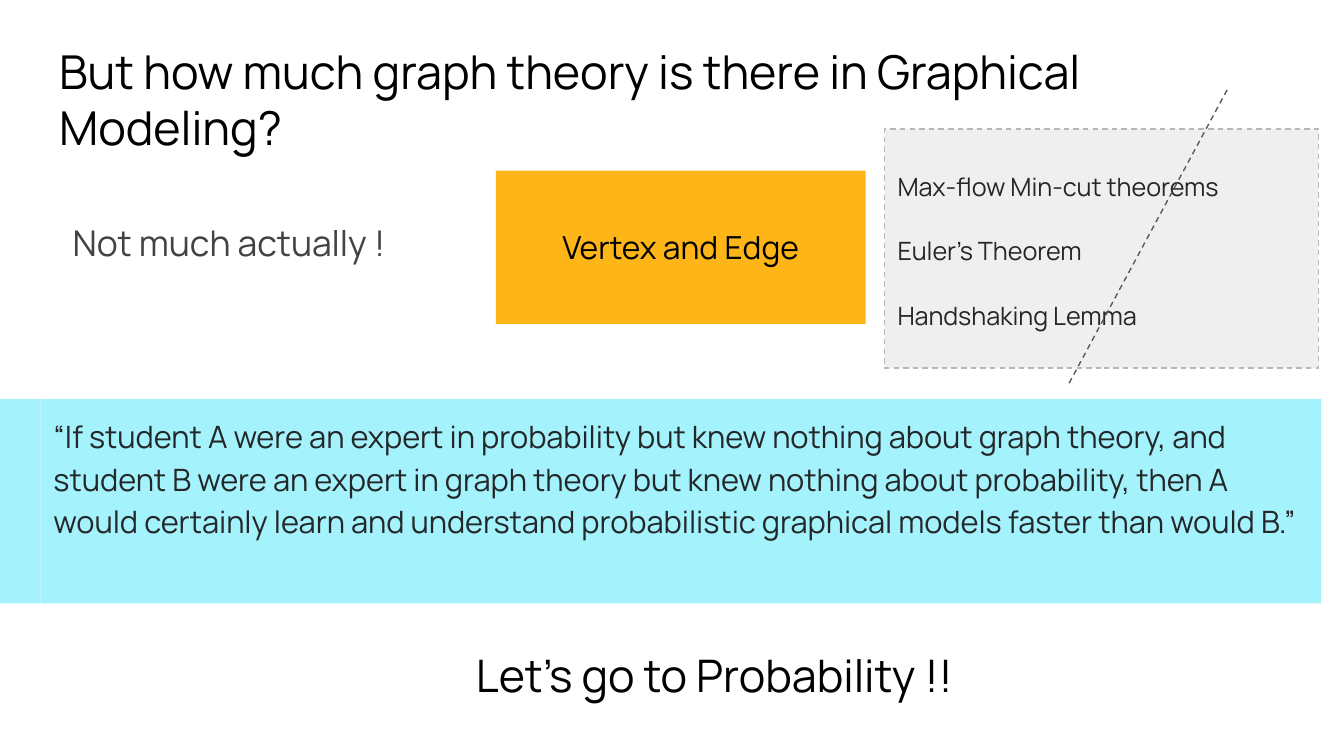
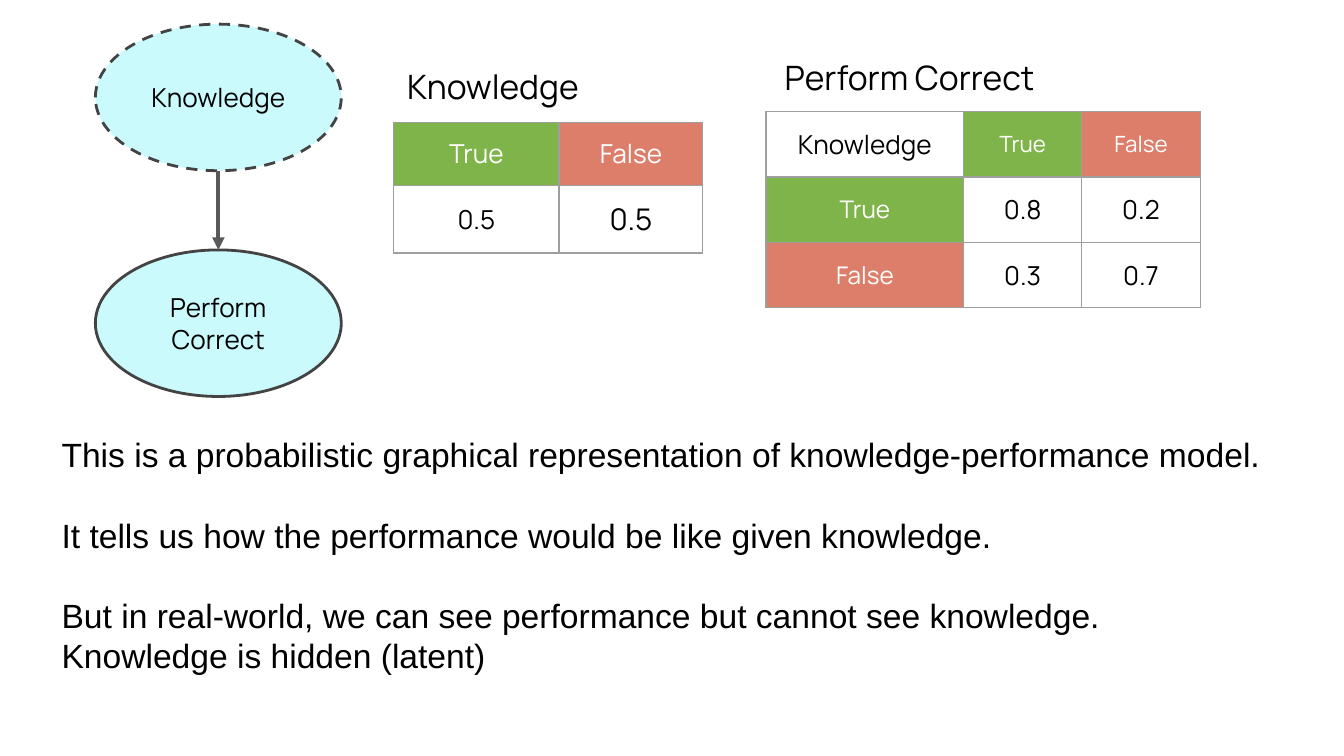
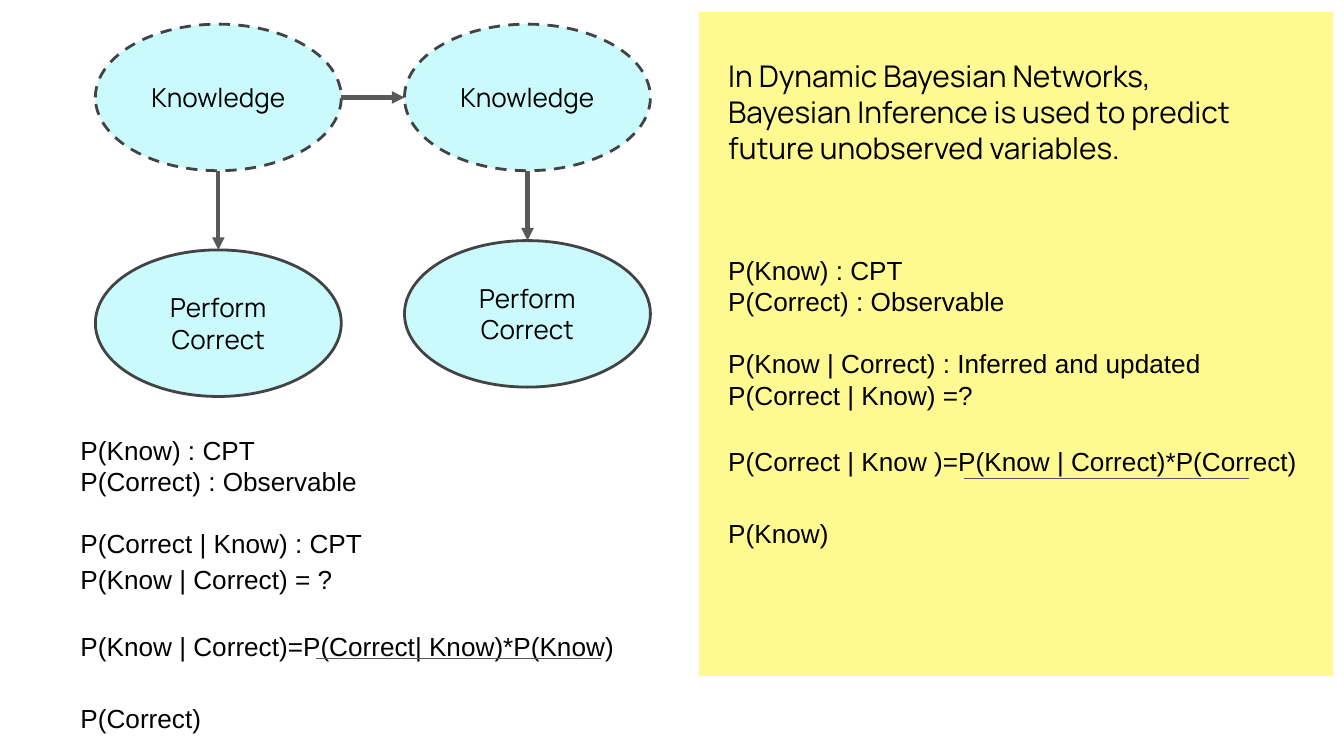
from collections import namedtuple

from lxml import etree
from pptx import Presentation
from pptx.dml.color import RGBColor
from pptx.enum.dml import MSO_LINE
from pptx.enum.shapes import MSO_CONNECTOR, MSO_SHAPE
from pptx.enum.text import MSO_ANCHOR, MSO_AUTO_SIZE, PP_ALIGN
from pptx.oxml.ns import qn
from pptx.util import Inches, Pt

RECTANGLE, ELLIPSE = MSO_SHAPE.RECTANGLE, MSO_SHAPE.OVAL
STRAIGHT = MSO_CONNECTOR.STRAIGHT
DASH = MSO_LINE.DASH
LEFT, CENTER = PP_ALIGN.LEFT, PP_ALIGN.CENTER
TOP, MIDDLE = MSO_ANCHOR.TOP, MSO_ANCHOR.MIDDLE
FIXED_SIZE = MSO_AUTO_SIZE.NONE
TITLE_AND_BODY, BLANK = 1, 6

BLACK = RGBColor(0x00, 0x00, 0x00)
WHITE = RGBColor(0xFF, 0xFF, 0xFF)
INK = RGBColor(0x24, 0x27, 0x29)
DARK_GRAY = RGBColor(0x43, 0x43, 0x43)
LINE_GRAY = RGBColor(0x59, 0x59, 0x59)
BORDER_GRAY = RGBColor(0x9E, 0x9E, 0x9E)
FRAME_GRAY = RGBColor(0xB7, 0xB7, 0xB7)
PANEL_GRAY = RGBColor(0xEF, 0xEF, 0xEF)
CYAN = RGBColor(0xA4, 0xF2, 0xFC)
NODE_CYAN = RGBColor(0xCA, 0xFA, 0xFC)
AMBER = RGBColor(0xFD, 0xB5, 0x18)
YELLOW = RGBColor(0xFF, 0xF5, 0x27)
GREEN = RGBColor(0x7F, 0xB4, 0x4A)
RED = RGBColor(0xDD, 0x7E, 0x6B)
ANSWER_FILLS = {"True": GREEN, "False": RED}

DISPLAY, PLAIN = "Manrope", "Arial"

# The slide is a grid of 100 columns by 56.25 rows of square cells.
CELL = Inches(0.1)
COLUMNS, ROWS = 100, 56.25
NODE_COLS, NODE_ROWS = 18.3, 10.9
NODE_LEFT, NODE_TOP, NODE_PITCH = 7.1, 1.8, 23
PERFORM_TOP = 18.6

Line = namedtuple("Line", "text spacing before", defaults=(1.0, 0))


def grid(*cells):
    return [round(cell * CELL) for cell in cells]


def write(frame, lines, size, color=BLACK, font=DISPLAY, align=LEFT, anchor=TOP):
    """Fill a text frame with strings or Lines in one style."""
    frame.word_wrap = True
    frame.auto_size = FIXED_SIZE
    frame.vertical_anchor = anchor
    frame.margin_left = frame.margin_right = CELL
    frame.margin_top = frame.margin_bottom = CELL
    lines = [Line(line) if isinstance(line, str) else line for line in lines]
    frame.text = "\n".join(line.text for line in lines)
    for paragraph, line in zip(frame.paragraphs, lines):
        paragraph.alignment = align
        paragraph.line_spacing = line.spacing
        paragraph.space_before = Pt(line.before)
        style_runs(paragraph, size, color, font)


def style_runs(paragraph, size, color, font=DISPLAY):
    for run in paragraph.runs:
        run.font.size = Pt(size)
        run.font.name = font
        run.font.color.rgb = color


def add_text(slide, area, lines, size, **style):
    label = slide.shapes.add_textbox(*grid(*area))
    write(label.text_frame, lines, size, **style)


def add_panel(slide, kind, area, fill, outline=None, weight=0.75, dashed=False):
    panel = slide.shapes.add_shape(kind, *grid(*area))
    panel.shadow.inherit = False
    panel.fill.solid()
    panel.fill.fore_color.rgb = fill
    if outline is None:
        panel.line.fill.background()
    else:
        panel.line.color.rgb = outline
        panel.line.width = Pt(weight)
        if dashed:
            panel.line.dash_style = DASH
    return panel


def add_line(slide, start, end, weight=0.75, dashed=False, arrow=False):
    line = slide.shapes.add_connector(STRAIGHT, *grid(*start, *end))
    line.line.color.rgb = LINE_GRAY
    line.line.width = Pt(weight)
    if dashed:
        line.line.dash_style = DASH
    if arrow:
        etree.SubElement(line.line._ln, qn("a:tailEnd"), type="triangle")
    etree.SubElement(line._element.spPr, qn("a:effectLst"))


def add_node(slide, left, top, lines, hidden=False):
    """Draw a variable of the network; hidden ones have a dashed outline."""
    node = add_panel(slide, ELLIPSE, (left, top, NODE_COLS, NODE_ROWS),
                     NODE_CYAN, DARK_GRAY, 1.5, hidden)
    write(node.text_frame, lines, 14, align=CENTER, anchor=MIDDLE)


def add_time_step(slide, step=0, perform_top=PERFORM_TOP):
    """Draw Knowledge with an arrow down to Perform Correct."""
    left = NODE_LEFT + step * NODE_PITCH
    middle = left + NODE_COLS / 2
    add_node(slide, left, NODE_TOP, ["Knowledge"], hidden=True)
    add_node(slide, left, perform_top, ["Perform", "Correct"])
    add_line(slide, (middle, NODE_TOP + NODE_ROWS), (middle, perform_top),
             2.25, arrow=True)


def add_borders(cell):
    properties = cell._tc.get_or_add_tcPr()
    for side in ("lnL", "lnR", "lnT", "lnB"):
        border = etree.SubElement(properties, qn(f"a:{side}"), w=str(Pt(0.75)))
        fill = etree.SubElement(border, qn("a:solidFill"))
        etree.SubElement(fill, qn("a:srgbClr"), val=str(BORDER_GRAY))


def add_probability_table(slide, left, top, widths, heights, values, sizes):
    """Draw a table whose True and False cells carry their own fill."""
    area = grid(left, top, sum(widths), sum(heights))
    table = slide.shapes.add_table(len(heights), len(widths), *area).table
    table.first_row = table.horz_banding = False
    for column, width in zip(table.columns, grid(*widths)):
        column.width = width
    for row, height, texts, points in zip(table.rows, grid(*heights), values, sizes):
        row.height = height
        for cell, text, size in zip(row.cells, texts, points):
            add_borders(cell)
            cell.margin_left = cell.margin_right = CELL
            cell.margin_top = cell.margin_bottom = CELL
            cell.vertical_anchor = MIDDLE
            cell.text = text
            cell.text_frame.paragraphs[0].alignment = CENTER
            if text in ANSWER_FILLS:
                cell.fill.solid()
                cell.fill.fore_color.rgb = ANSWER_FILLS[text]
                color = WHITE
            else:
                cell.fill.background()
                color = BLACK
            style_runs(cell.text_frame.paragraphs[0], size, color)


def place(placeholder, area):
    (placeholder.left, placeholder.top,
     placeholder.width, placeholder.height) = grid(*area)


def remove_bullets(frame):
    for paragraph in frame.paragraphs:
        properties = paragraph._p.get_or_add_pPr()
        properties.set("marL", "0")
        properties.set("indent", "0")
        etree.SubElement(properties, qn("a:buNone"))


def add_bayes_rule(slide, area, facts, rule, divisor, bar):
    """Write two pairs of facts, then a fraction with its bar."""
    gap, wide_gap = 16.5, 19
    first, second, third, question = facts
    add_text(slide, area, [
        first, second, Line(third, before=gap), question,
        Line(rule, 1.15, gap), Line(divisor, 1.15, wide_gap),
    ], 14, font=PLAIN)
    left, right, row = bar
    add_line(slide, (left, row), (right, row))


def build_theory_slide(deck):
    slide = deck.slides.add_slide(deck.slide_layouts[TITLE_AND_BODY])
    title, answer = slide.shapes.title, slide.placeholders[1]
    place(title, (3.4, 2.2, 93.2, 10.4))
    write(title.text_frame,
          ["But how much graph theory is there in Graphical Modeling?"], 25)
    place(answer, (4.4, 15, 33.7, 9.4))
    write(answer.text_frame, [Line("Not much actually !", 1.15)], 19, DARK_GRAY)
    remove_bullets(answer.text_frame)

    margin, band_top, band_rows = 3, 29.7, 15.2
    quote = add_panel(slide, RECTANGLE, (margin, band_top, 95.3, band_rows), CYAN)
    write(quote.text_frame, [Line(
        "“If student A were an expert in probability but knew nothing about "
        "graph theory, and student B were an expert in graph theory but knew "
        "nothing about probability, then A would certainly learn and understand "
        "probabilistic graphical models faster than would B.”", 1.15)], 16.5, INK)
    add_text(slide, (27.6, 45, 51.1, 10.4), ["Let’s go to Probability !!"], 24,
             align=CENTER, anchor=MIDDLE)

    basics = add_panel(slide, RECTANGLE, (36.9, 12.7, 27.5, 11.4), AMBER)
    write(basics.text_frame, ["Vertex and Edge"], 17, align=CENTER, anchor=MIDDLE)
    theorems = add_panel(slide, RECTANGLE, (65.8, 9.6, 32.3, 17.8),
                         PANEL_GRAY, FRAME_GRAY, dashed=True)
    write(theorems.text_frame, [
        Line("Max-flow Min-cut theorems", 1.15),
        Line("Euler's Theorem", 1.15, 16),
        Line("Handshaking Lemma", 1.15, 16),
    ], 13.5, INK, anchor=MIDDLE)
    add_line(slide, (91.3, 6.7), (79.5, 28.6), dashed=True)
    add_panel(slide, RECTANGLE, (0, band_top, margin, band_rows), CYAN)


def build_model_slide(deck):
    slide = deck.slides.add_slide(deck.slide_layouts[BLANK])
    add_time_step(slide)
    add_probability_table(
        slide, 29.3, 9.1, [12.3, 10.7], [4.7, 5],
        [["True", "False"], ["0.5", "0.5"]],
        [[14, 14], [14, 16]])
    add_probability_table(
        slide, 57, 8.3, [14.7, 8.8, 8.8], [4.87] * 3,
        [["Knowledge", "True", "False"],
         ["True", "0.8", "0.2"],
         ["False", "0.3", "0.7"]],
        [[14, 12, 12], [13, 14, 14], [13, 14, 14]])
    add_text(slide, (29.3, 3.9, 21.5, 3.9), ["Knowledge"], 18)
    add_text(slide, (57.4, 3.2, 27.9, 3.9), ["Perform Correct"], 18)
    gap = 21.5
    add_text(slide, (3.6, 31.3, 94.2, 23.1), [
        "This is a probabilistic graphical representation of "
        "knowledge-performance model.",
        Line("It tells us how the performance would be like given knowledge.",
             before=gap),
        Line("But in real-world, we can see performance but cannot see knowledge.",
             before=gap),
        "Knowledge is hidden (latent)",
    ], 18, font=PLAIN)


def build_inference_slide(deck):
    slide = deck.slides.add_slide(deck.slide_layouts[BLANK])
    backdrop = add_panel(slide, RECTANGLE, (52, 0.9, 47.2, 49.4), YELLOW)
    tint = backdrop._element.spPr.find(f".//{qn('a:srgbClr')}")
    etree.SubElement(tint, qn("a:alpha"), val="50000")

    add_time_step(slide)
    add_time_step(slide, 1, PERFORM_TOP - 0.7)
    knowledge_row = NODE_TOP + NODE_ROWS / 2
    add_line(slide, (NODE_LEFT + NODE_COLS, knowledge_row),
             (NODE_LEFT + NODE_PITCH, knowledge_row), 2.25, arrow=True)

    add_bayes_rule(
        slide, (5, 31.3, 44.2, 24.4),
        ["P(Know) : CPT", "P(Correct) : Observable",
         "P(Correct | Know) : CPT", Line("P(Know | Correct) = ?", 1.15)],
        "P(Know | Correct)=P(Correct| Know)*P(Know)", "P(Correct)",
        (23.5, 44.7, 49))
    add_text(slide, (53.2, 3.3, 45.1, 16.6), [
        "In Dynamic Bayesian Networks,",
        "Bayesian Inference is used to predict future unobserved variables.",
    ], 16)
    add_bayes_rule(
        slide, (53.2, 17.9, 46.1, 24.4),
        ["P(Know) : CPT", "P(Correct) : Observable",
         "P(Know | Correct) : Inferred and updated", "P(Correct | Know) =?"],
        "P(Correct | Know )=P(Know | Correct)*P(Correct)", "P(Know)",
        (71.7, 92.9, 35.6))


def main():
    deck = Presentation()
    deck.slide_width, deck.slide_height = grid(COLUMNS, ROWS)
    build_theory_slide(deck)
    build_model_slide(deck)
    build_inference_slide(deck)
    deck.save("out.pptx")


if __name__ == "__main__":
    main()
